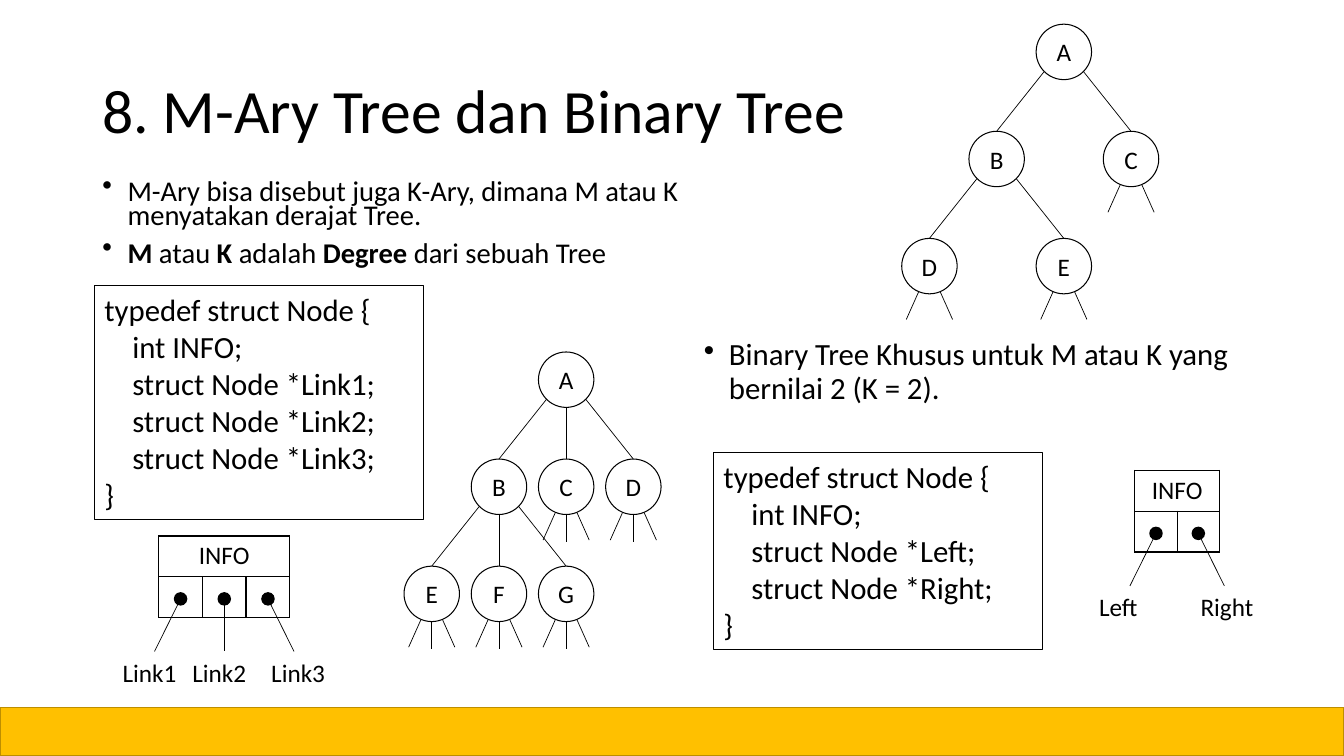
import dataclasses

import lxml.etree
import pptx
import pptx.dml.color
import pptx.enum.shapes
import pptx.enum.text
import pptx.oxml
import pptx.oxml.ns
import pptx.util

MIDDLE = pptx.enum.text.MSO_ANCHOR.MIDDLE
CENTER = pptx.enum.text.PP_ALIGN.CENTER
SHAPES = pptx.enum.shapes.MSO_SHAPE


@dataclasses.dataclass(frozen=True)
class Theme:
    font: str = "Calibri"
    ink: str = "000000"
    bar: str = "FFC000"
    bar_edge: str = "BD8E00"
    title: float = 44
    intro: float = 20.4
    code: float = 22
    label: float = 18
    outline: float = 0.75
    link: float = 0.5
    border: float = 1


THEME = Theme()

# The slide is a grid of 160 columns by 90 rows, with square cells
COLUMNS, ROWS = 160, 90
CELL = pptx.util.Inches(1) / 12

# Tree geometry, in cells
RADIUS = 3.3
DIAGONAL = 2.34
SIBLING_STEP, LEVEL_STEP = 8, 12.75

# Record geometry, in cells
RECORD_ROW = 4.86
DOT = 1.44

# Direction of each link of a node, by degree
SIDES = {2: (-1, 1), 3: (-1, 0, 1)}

TERNARY_TREE = ("A", [("B", [("E", []), ("F", []), ("G", [])]), ("C", []), ("D", [])])
BINARY_TREE = ("A", [("B", [("D", []), ("E", [])]), ("C", [])])


def grid(*cells):
    return [pptx.util.Emu(round(cell * CELL)) for cell in cells]


def color(value):
    return pptx.dml.color.RGBColor.from_string(value)


def style_runs(paragraph, size):
    for run in paragraph.runs:
        run.font.name = THEME.font
        run.font.size = pptx.util.Pt(size)
        run.font.color.rgb = color(THEME.ink)


def add_text(slide, box, text, size, anchor=None, align=None, wrap=True):
    frame = slide.shapes.add_textbox(*grid(*box)).text_frame
    frame.word_wrap = wrap
    frame.vertical_anchor = anchor
    frame.text = text
    paragraph = frame.paragraphs[0]
    paragraph.alignment = align
    style_runs(paragraph, size)
    return paragraph


def add_bullets(slide, box, items, size, spacing):
    """Each item is a list of (text, bold) pieces."""
    frame = slide.shapes.add_textbox(*grid(*box)).text_frame
    frame.word_wrap = True
    for index, pieces in enumerate(items):
        paragraph = frame.add_paragraph() if index else frame.paragraphs[0]
        for text, bold in pieces:
            run = paragraph.add_run()
            run.text = text
            run.font.bold = bold
        style_runs(paragraph, size)
        paragraph.line_spacing = spacing
        paragraph.space_before = pptx.util.Pt(10)
        properties = paragraph._p.get_or_add_pPr()
        properties.set("marL", str(grid(3)[0]))
        properties.set("indent", str(grid(-3)[0]))
        bullet = lxml.etree.SubElement(properties, pptx.oxml.ns.qn("a:buChar"))
        bullet.set("char", "•")


def add_figure(slide, preset, box, fill, edge, width):
    figure = slide.shapes.add_shape(preset, *grid(*box))
    figure.shadow.inherit = False
    if fill:
        figure.fill.solid()
        figure.fill.fore_color.rgb = color(fill)
    else:
        figure.fill.background()
    figure.line.color.rgb = color(edge)
    figure.line.width = pptx.util.Pt(width)
    return figure


def add_line(slide, x1, y1, x2, y2):
    line = slide.shapes.add_connector(
        pptx.enum.shapes.MSO_CONNECTOR.STRAIGHT, *grid(x1, y1, x2, y2))
    line.line.color.rgb = color(THEME.ink)
    line.line.width = pptx.util.Pt(THEME.link)
    lxml.etree.SubElement(line._element.spPr, pptx.oxml.ns.qn("a:effectLst"))


def add_code(slide, box, fields):
    """A struct listing whose fields are indented between its braces."""
    listing = add_figure(slide, SHAPES.RECTANGLE, box, None, THEME.ink, THEME.outline)
    frame = listing.text_frame
    frame.vertical_anchor = pptx.enum.text.MSO_ANCHOR.TOP
    frame.text = "\n".join(["typedef struct Node {", *fields, "}"])
    for paragraph in frame.paragraphs:
        paragraph.alignment = pptx.enum.text.PP_ALIGN.LEFT
        style_runs(paragraph, THEME.code)
    for paragraph in frame.paragraphs[1:-1]:
        paragraph._p.get_or_add_pPr().set("marL", str(grid(3.32)[0]))


def add_tree(slide, x, y, node, degree):
    """Draw a node centred at x, y, then its subtrees or its empty links."""
    name, children = node
    circle = add_figure(slide, SHAPES.OVAL, (x - RADIUS, y - RADIUS, 2 * RADIUS, 2 * RADIUS),
                        None, THEME.ink, THEME.outline)
    frame = circle.text_frame
    frame.word_wrap = False
    frame.vertical_anchor = MIDDLE
    frame.text = name
    frame.paragraphs[0].alignment = CENTER
    style_runs(frame.paragraphs[0], THEME.label)

    for side, child in zip(SIDES[degree], children):
        child_x, child_y = x + side * SIBLING_STEP, y + LEVEL_STEP
        start_y = y + (DIAGONAL if side else RADIUS)
        add_line(slide, x + side * DIAGONAL, start_y, child_x, child_y - RADIUS)
        add_tree(slide, child_x, child_y, child, degree)
    if not children:
        for side in SIDES[degree]:
            drop = 0 if side else 0.2
            add_line(slide, x + side * 1.3, y + 3.1 + drop, x + side * 2.75, y + 6.35 + drop)


def add_record(slide, left, top, field_width, links):
    """INFO over one field per link; links hold (name, label width, label shift)."""
    degree = len(links)
    table = slide.shapes.add_table(
        2, degree, *grid(left, top, field_width * degree, 2 * RECORD_ROW)).table
    table.first_row = table.horz_banding = False
    table.cell(0, 0).merge(table.cell(0, degree - 1))
    table.cell(0, 0).text = "INFO"
    heading = table.cell(0, 0).text_frame.paragraphs[0]
    heading.alignment = CENTER
    style_runs(heading, THEME.label)
    for cell in table.iter_cells():
        cell.fill.background()
        properties = cell._tc.get_or_add_tcPr()
        for index, edge in enumerate("LRTB"):
            properties.insert(index, pptx.oxml.parse_xml(
                f'<a:ln{edge} {pptx.oxml.ns.nsdecls("a")} w="{pptx.util.Pt(THEME.border)}">'
                f'<a:solidFill><a:srgbClr val="{THEME.ink}"/></a:solidFill></a:ln{edge}>'))

    # Pointer dots, lines and link names
    y = top + 7.5
    for index, (side, (name, width, shift)) in enumerate(zip(SIDES[degree], links)):
        x = left + field_width * (index + 0.5)
        end = x + side * 3.1
        add_figure(slide, SHAPES.OVAL, (x - DOT / 2, y - DOT / 2, DOT, DOT),
                   THEME.ink, THEME.ink, THEME.border)
        add_line(slide, x, y, end, y + 6.25)
        add_text(slide, (end + shift - width / 2, y + 6.35, width, 4.8), name,
                 THEME.label, align=CENTER, wrap=False)


def main():
    deck = pptx.Presentation()
    deck.slide_width, deck.slide_height = grid(COLUMNS, ROWS)
    slide = deck.slides.add_slide(deck.slide_layouts[6])

    # Title and footer bar
    title = add_text(slide, (11, 4.8, 138, 17.4), "8. M-Ary Tree dan Binary Tree",
                     THEME.title, anchor=MIDDLE)
    title.line_spacing = 0.9
    add_figure(slide, SHAPES.RECTANGLE, (0, 84.2, COLUMNS, 5.8),
               THEME.bar, THEME.bar_edge, THEME.border)

    # M-ary tree, shown with degree 3
    add_bullets(slide, (11, 21.1, 74, 11.6), [
        [("M-Ary bisa disebut juga K-Ary, dimana M atau K menyatakan derajat Tree.", False)],
        [("M ", True), ("atau ", False), ("K ", True), ("adalah ", False),
         ("Degree ", True), ("dari sebuah Tree", False)],
    ], THEME.intro, 0.7)
    add_code(slide, (11.25, 34, 39.15, 27.8),
             ["int INFO;", *(f"struct Node *Link{number};" for number in (1, 2, 3))])
    add_record(slide, 18.9, 63.8, 5.2,
               [("Link1", 8.9, -0.6), ("Link2", 8.9, -0.6), ("Link3", 8.9, 0.5)])
    add_tree(slide, 67.4, 45.2, TERNARY_TREE, 3)

    # Binary tree
    add_bullets(slide, (82.6, 39.8, 74, 11.6), [
        [("Binary Tree Khusus untuk M atau K yang bernilai 2 (K = 2).", False)],
    ], THEME.code, 0.9)
    add_code(slide, (84.95, 53.9, 39.15, 23.4),
             ["int INFO;", "struct Node *Left;", "struct Node *Right;"])
    add_record(slide, 135.1, 56, 5.04, [("Left", 7.1, -1.4), ("Right", 8.8, 0.3)])
    add_tree(slide, 126.65, 6.18, BINARY_TREE, 2)

    deck.save("out.pptx")


if __name__ == "__main__":
    main()
